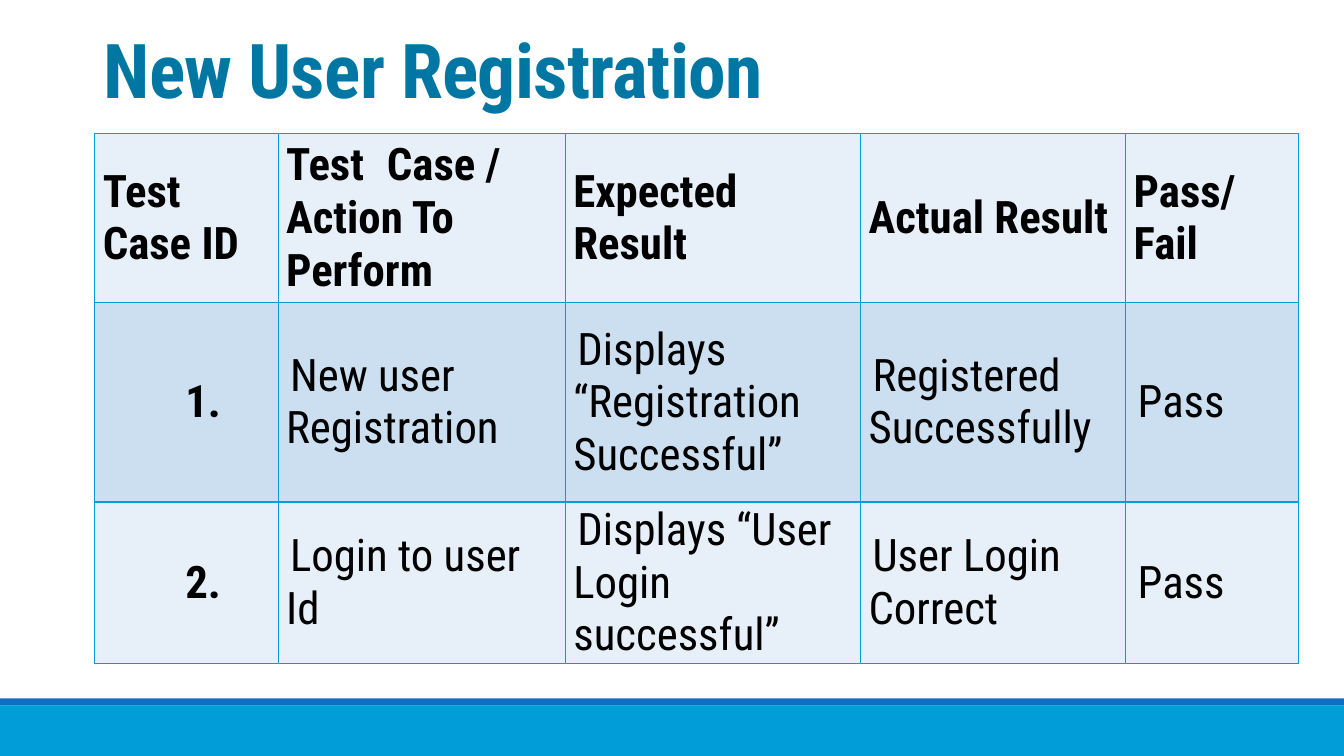
from pptx import Presentation
from pptx.dml.color import RGBColor as Rgb
from pptx.enum.shapes import MSO_SHAPE as Shape
from pptx.enum.text import MSO_ANCHOR as Anchor, PP_ALIGN as Align
from pptx.oxml.ns import qn
from pptx.util import Cm, Pt
from lxml.etree import SubElement as Sub

FONT = "Roboto Condensed"
HEX = {"title": "0076A3", "text": "000000", "line": "009DD9", "pale": "E7EFF8",
       "band": "CCDFF1", "foot": "009DD9", "strip": "0F6FC6"}
TITLE = "New User Registration"
ROWS = [
    ["Test Case ID", "Test\tCase /\nAction To Perform", "Expected Result",
     "Actual Result", "Pass/ Fail"],
    ["1.", "New user Registration", "Displays “Registration Successful”",
     "Registered Successfully", "Pass"],
    ["2.", "Login to user Id", "Displays “User Login successful”",
     "User Login Correct", "Pass"],
]
WIDTHS = [4.62, 7.24, 7.44, 6.68, 4.36]
HEIGHTS = [4.25, 5.03, 3.73]
BARS = [("foot", 17.78, 1.27), ("strip", 17.6, 0.18)]
WIDE, HIGH = 33.87, 19.05


def color(name):
    return Rgb.from_string(HEX[name])


def style(para, size, name, bold):
    font = para.font
    font.name, font.size, font.bold = FONT, Pt(size), bold
    font.color.rgb = color(name)


def border(cell, row):
    props = cell._tc.get_or_add_tcPr()
    for side in "LRTB":
        heavy = (row == 2 and side == "T") or (row == 1 and side == "B")
        line = Sub(props, qn(f"a:ln{side}"), w=str(Pt(2 if heavy else 1)))
        fill = Sub(line, qn("a:solidFill"))
        Sub(fill, qn("a:srgbClr"), val=HEX["line"])


def indent(para, left, first, tab):
    props = para._p.get_or_add_pPr()
    props.set("marL", str(Cm(left)))
    props.set("indent", str(Cm(first)))
    if tab:
        tabs = Sub(props, qn("a:tabLst"))
        Sub(tabs, qn("a:tab"), pos=str(Cm(1.85)), algn="l")


def fill_cell(cell, text, row, col):
    number = row > 0 and col == 0
    body = row > 0 and col > 0
    border(cell, row)
    cell.fill.solid()
    cell.fill.fore_color.rgb = color("band" if row == 1 else "pale")
    cell.vertical_anchor = Anchor.MIDDLE
    cell.margin_left = cell.margin_top = cell.margin_bottom = 0
    cell.margin_right = Cm(0.2 if body else 0)
    cell.text = text
    for para in cell.text_frame.paragraphs:
        if number:
            para.alignment = Align.CENTER
        if row == 1 or body:
            para.space_before = Pt(0.1)
        indent(para, 0.84 if number else 0.2, 0.1 if body else 0,
               body or (row == 0 and col == 1))
        style(para, 32, "text", not body)


def main():
    deck = Presentation()
    deck.slide_width, deck.slide_height = Cm(WIDE), Cm(HIGH)
    slide = deck.slides.add_slide(deck.slide_layouts[6])
    shapes = slide.shapes

    for name, top, high in BARS:
        bar = shapes.add_shape(Shape.RECTANGLE, 0, Cm(top), Cm(WIDE), Cm(high))
        bar.shadow.inherit = False
        bar.fill.solid()
        bar.fill.fore_color.rgb = color(name)
        bar.line.fill.background()

    frame = shapes.add_textbox(Cm(2.36), Cm(0.79), Cm(27.94), Cm(2.21)).text_frame
    frame.word_wrap = True
    frame.vertical_anchor = Anchor.BOTTOM
    para = frame.paragraphs[0]
    para.line_spacing = 0.85
    run = para.add_run()
    run.text = TITLE
    run._r.get_or_add_rPr().set("spc", "-50")
    style(para, 54, "title", True)

    grid = shapes.add_table(len(ROWS), len(WIDTHS), Cm(2.39), Cm(3.37),
                            Cm(sum(WIDTHS)), Cm(sum(HEIGHTS))).table
    grid.first_row = grid.horz_banding = False
    for col, wide in zip(grid.columns, WIDTHS):
        col.width = Cm(wide)
    for row, high in zip(grid.rows, HEIGHTS):
        row.height = Cm(high)
    for r, texts in enumerate(ROWS):
        for c, text in enumerate(texts):
            fill_cell(grid.cell(r, c), text, r, c)

    deck.save("out.pptx")


if __name__ == "__main__":
    main()
